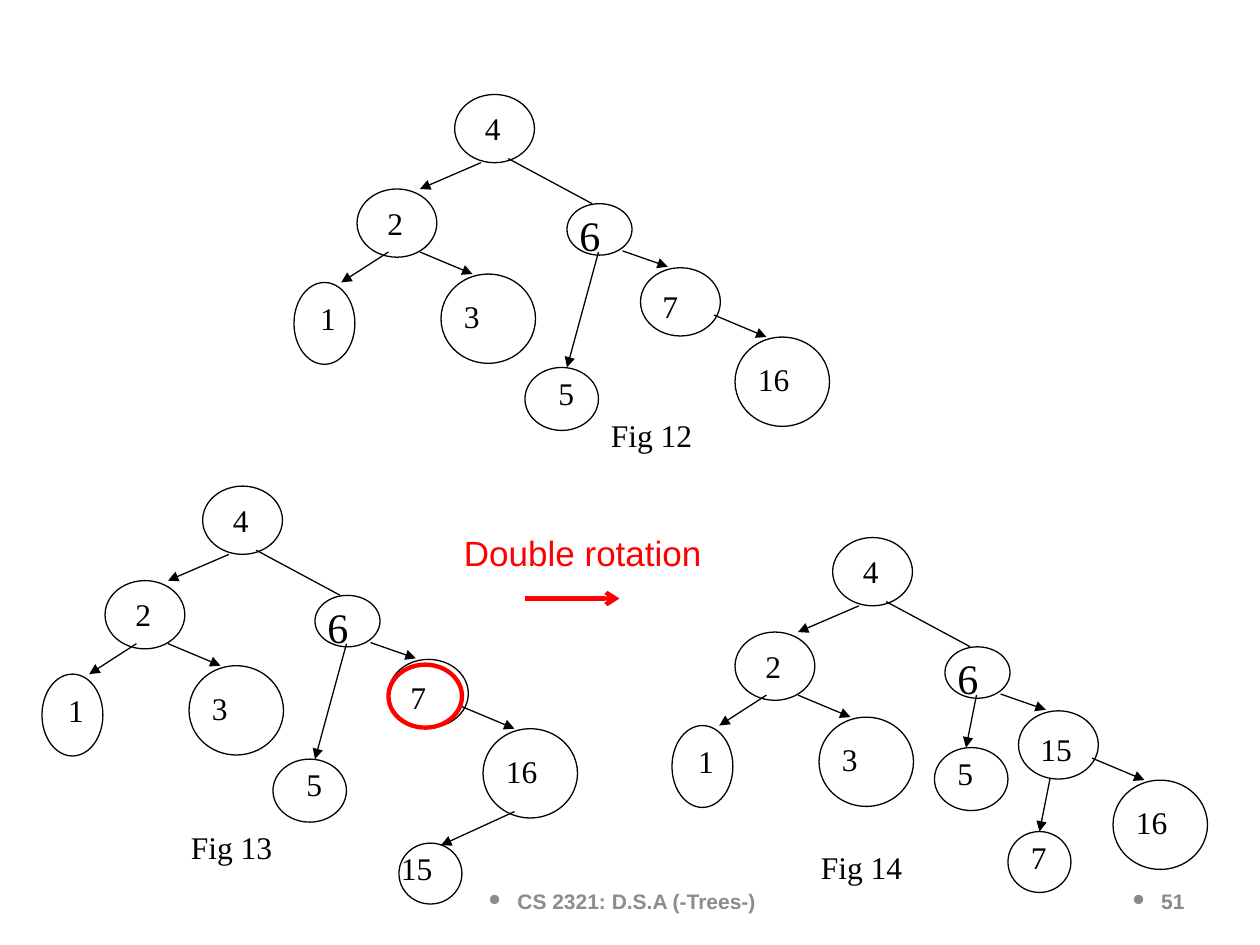
from lxml.etree import SubElement
from pptx import Presentation
from pptx.dml.color import RGBColor
from pptx.enum.shapes import MSO_CONNECTOR as CONN, MSO_SHAPE as SHAPE
from pptx.enum.text import MSO_ANCHOR as ANCHOR, MSO_AUTO_SIZE as FIT, PP_ALIGN as ALIGN
from pptx.oxml.ns import qn
from pptx.util import Inches, Pt

COLS, ROWS = 120, 90
BLACK, RED, GREY = "000000", "FF0000", "8C8C8C"
SERIF, SANS = "Times New Roman", "Arial"


def rgb(value):
    return RGBColor.from_string(value)


class Canvas:
    def __init__(self, prs):
        self.prs = prs
        self.slide = prs.slides.add_slide(prs.slide_layouts[6])
        self.home()

    def home(self):
        self.shapes, self.left, self.top = self.slide.shapes, 0, 0

    def group(self, left, top):
        self.shapes = self.slide.shapes.add_group_shape().shapes
        self.left, self.top = left, top

    def size(self, cols, rows):
        return (round(cols * self.prs.slide_width / COLS),
                round(rows * self.prs.slide_height / ROWS))

    def point(self, x, y):
        return self.size(self.left + x, self.top + y)

    def outline(self, line, color, width):
        line.color.rgb = rgb(color)
        line.width = Pt(width)

    def ellipse(self, x, y, w, h, color=BLACK, width=0.75):
        sp = self.shapes.add_shape(SHAPE.OVAL, *self.point(x, y), *self.size(w, h))
        sp.shadow.inherit = False
        sp.fill.background()
        self.outline(sp.line, color, width)

    def line(self, start, end, head="triangle", color=BLACK, width=0.75):
        cx = self.shapes.add_connector(CONN.STRAIGHT, *self.point(*start), *self.point(*end))
        self.outline(cx.line, color, width)
        if head:
            SubElement(cx.line._get_or_add_ln(), qn("a:tailEnd"), type=head)
        SubElement(cx._element.spPr, qn("a:effectLst"))

    def text(self, text, x, y, w, h=4.8, color=BLACK, bullet=False, frame=None, align=None, **font):
        sp = self.shapes.add_textbox(*self.point(x, y), *self.size(w, h))
        tf = sp.text_frame
        for name, value in {"word_wrap": True, "auto_size": FIT.SHAPE_TO_FIT_TEXT,
                            **(frame or {})}.items():
            setattr(tf, name, value)
        p = tf.paragraphs[0]
        p.alignment = align
        if bullet:
            pPr = p._p.get_or_add_pPr()
            pPr.set("marL", str(Inches(0.23)))
            pPr.set("indent", str(-Inches(0.23)))
            SubElement(pPr, qn("a:buSzPct"), val="75000")
            SubElement(pPr, qn("a:buChar"), char="●")
        r = p.add_run()
        r.text = text
        for name, value in {"name": SERIF, "size": Pt(18), **font}.items():
            setattr(r.font, name, value)
        r.font.color.rgb = rgb(color)

    def node(self, text, x, y, kind, dx=None):
        w, h, shift, drop, width, size = KINDS[kind]
        self.ellipse(x, y, w, h)
        self.text(text, x + (shift if dx is None else dx), y + drop, width,
                  h=size / 4, size=Pt(size))

    def tree(self, origin, nodes, edges, caption, x, y):
        self.group(*origin)
        for start, end in SHARED_EDGES + edges:
            self.line(start, end)
        self.line((20.4, 6.1), (28.4, 10.4), head=None)
        for node in SHARED_NODES + nodes:
            self.node(*node)
        self.text(caption, x, y, 15)
        self.home()


KINDS = {
    "upper": (7.6, 6.5, 1.7, 0.8, 10, 18),
    "right": (7.6, 6.5, 0.9, 1.2, 10, 18),
    "pivot": (6.2, 4.9, 0, 0, 6.2, 24),
    "tall": (5.8, 7.8, 1.3, 1, 6.5, 18),
    "large": (9, 8.5, 1, 1.6, 12, 18),
    "small": (7, 6, 2, 0, 10, 18),
    "added": (6, 5.8, 1, 0, 10, 18),
}
SHARED_NODES = [
    ("4", 15.3, 0, "upper"),
    ("2", 6, 9, "upper"),
    ("6", 26, 10.4, "pivot"),
    ("1", 0, 17.9, "tall"),
    ("3", 14, 17.1, "large"),
    ("16", 42, 23.1, "large"),
]
SHARED_EDGES = [
    ((17.8, 6.5), (12, 9)),
    ((31.3, 14.9), (35.6, 16.4)),
    ((9, 15), (4.5, 17.9)),
    ((12, 15), (17, 17.1)),
    ((40, 21), (45, 23.1)),
]
SEVEN = ("7", 33, 16.5, "right")
FIVE = ("5", 22, 26, "small")
TO_FIVE = ((29, 15), (26, 26))


def main():
    prs = Presentation()
    prs.slide_width, prs.slide_height = Inches(10), Inches(7.5)
    s = Canvas(prs)

    s.tree((28, 9), [SEVEN, FIVE], [TO_FIVE], "Fig 12", 29, 30)
    s.tree((4, 46.3), [SEVEN, FIVE, ("15", 34, 34, "added", -1)],
           [TO_FIVE, ((45, 31), (38, 34.2))], "Fig 13", 13, 32)
    s.tree((64, 51.2),
           [("15", 33, 16.5, "right"), ("5", 25, 20, "small", 1), ("7", 32, 28, "added")],
           [((29, 15), (28, 20)), ((36, 23), (35, 28))], "Fig 14", 13, 29)

    s.line((50, 57), (59, 57), head="arrow", color=RED, width=2.5)
    s.text("Double rotation", 43, 50, 28, 5.2, color=RED, name=SANS, size=Pt(20))
    s.ellipse(37, 63.3, 7, 6, color=RED, width=2.5)

    footer = {"bullet": True, "name": SANS, "size": Pt(12), "bold": True,
              "frame": {"auto_size": FIT.NONE, "vertical_anchor": ANCHOR.MIDDLE}}
    s.text("CS 2321: D.S.A (-Trees-)", 40.25, 83.4, 38, color=GREY, align=ALIGN.CENTER, **footer)
    s.text("51", 86, 83.4, 28, color="898989", align=ALIGN.RIGHT, **footer)
    prs.save("out.pptx")


if __name__ == "__main__":
    main()
